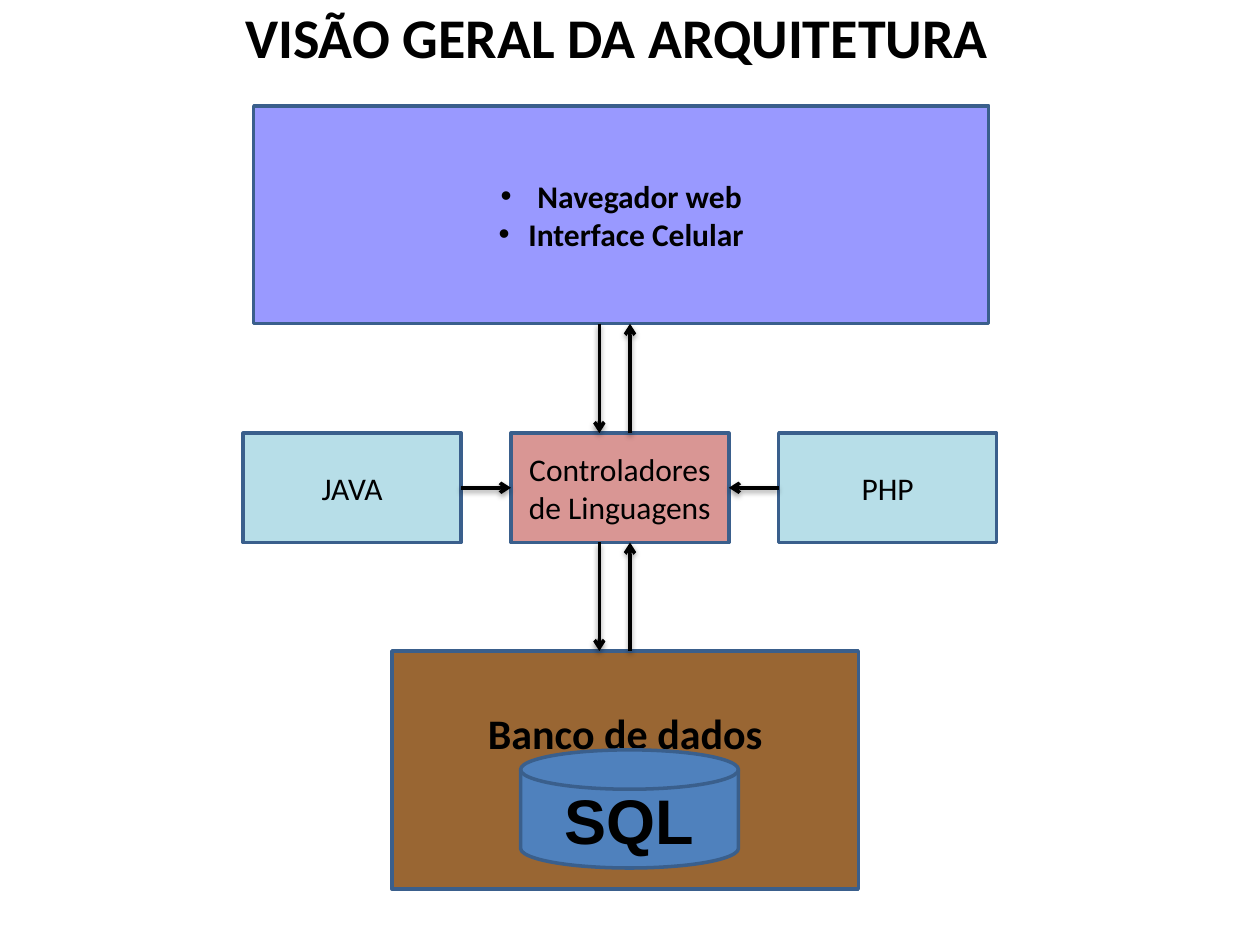
from dataclasses import dataclass

from lxml.etree import SubElement
from pptx import Presentation
from pptx.dml.color import RGBColor as Color
from pptx.enum.shapes import MSO_CONNECTOR as Connector, MSO_SHAPE as Preset
from pptx.enum.text import MSO_ANCHOR as Anchor, MSO_AUTO_SIZE as AutoSize, PP_ALIGN as Align
from pptx.oxml.ns import qn
from pptx.slide import Slide
from pptx.util import Pt


@dataclass(frozen=True)
class Theme:
    ink: str = "000000"
    outline: str = "3A5F8C"
    interface: str = "9999FF"
    language: str = "B7DEE8"
    controller: str = "D99694"
    database: str = "996633"
    disk: str = "4F81BD"
    body_font: str = "Calibri"
    disk_font: str = "Arial"
    body_size: float = 18
    database_size: float = 24
    title_size: float = 32
    disk_size: float = 36
    line_width: float = 2
    bullet_indent: float = 17


THEME = Theme()


@dataclass(frozen=True)
class Box:
    left: float
    top: float
    width: float
    height: float
    fill: str
    lines: tuple[str, ...]
    size: float = THEME.body_size
    font: str = THEME.body_font
    bold: bool = False
    bullets: bool = False
    preset: Preset = Preset.RECTANGLE
    anchor: Anchor = Anchor.MIDDLE
    spacing: float = 1

    @property
    def right(self) -> float:
        return self.left + self.width

    @property
    def bottom(self) -> float:
        return self.top + self.height

    @property
    def middle(self) -> float:
        return self.top + self.height / 2


@dataclass(frozen=True)
class Arrow:
    start_x: float
    start_y: float
    end_x: float
    end_y: float


def add_run(paragraph, text: str, size: float, font: str, bold: bool) -> None:
    run = paragraph.add_run()
    run.text = text
    run.font.size = Pt(size)
    run.font.name = font
    run.font.bold = bold
    run.font.color.rgb = Color.from_string(THEME.ink)


def add_bullet(paragraph) -> None:
    properties = paragraph._p.get_or_add_pPr()
    properties.set("marL", str(Pt(THEME.bullet_indent)))
    properties.set("indent", str(-Pt(THEME.bullet_indent)))
    SubElement(properties, qn("a:buFont"), typeface="Arial")
    SubElement(properties, qn("a:buChar"), char="•")


def draw_box(slide: Slide, box: Box) -> None:
    shape = slide.shapes.add_shape(
        box.preset, Pt(box.left), Pt(box.top), Pt(box.width), Pt(box.height)
    )
    shape.shadow.inherit = False
    shape.fill.solid()
    shape.fill.fore_color.rgb = Color.from_string(box.fill)
    shape.line.color.rgb = Color.from_string(THEME.outline)
    shape.line.width = Pt(THEME.line_width)
    frame = shape.text_frame
    frame.word_wrap = True
    frame.vertical_anchor = box.anchor
    for index, line in enumerate(box.lines):
        paragraph = frame.add_paragraph() if index else frame.paragraphs[0]
        paragraph.alignment = Align.CENTER
        paragraph.line_spacing = box.spacing
        if box.bullets:
            add_bullet(paragraph)
        add_run(paragraph, line, box.size, box.font, box.bold)


def draw_arrow(slide: Slide, arrow: Arrow) -> None:
    connector = slide.shapes.add_connector(
        Connector.STRAIGHT,
        Pt(arrow.start_x), Pt(arrow.start_y), Pt(arrow.end_x), Pt(arrow.end_y),
    )
    connector.line.color.rgb = Color.from_string(THEME.ink)
    connector.line.width = Pt(THEME.line_width)
    SubElement(connector.line._get_or_add_ln(), qn("a:tailEnd"), type="arrow")
    effects = SubElement(connector._element.spPr, qn("a:effectLst"))
    shadow = SubElement(
        effects, qn("a:outerShdw"), blurRad=str(Pt(3.1)), dist=str(Pt(1.6)),
        dir="5400000", rotWithShape="0",
    )
    shade = SubElement(shadow, qn("a:srgbClr"), val=THEME.ink)
    SubElement(shade, qn("a:alpha"), val="38000")


def draw_title(slide: Slide, text: str) -> None:
    title = slide.shapes.add_textbox(Pt(133), Pt(-2), Pt(443), Pt(46))
    frame = title.text_frame
    frame.word_wrap = False
    frame.auto_size = AutoSize.SHAPE_TO_FIT_TEXT
    add_run(frame.paragraphs[0], text, THEME.title_size, THEME.body_font, True)


def main() -> None:
    presentation = Presentation()
    presentation.slide_width = Pt(720)
    presentation.slide_height = Pt(540)
    slide = presentation.slides.add_slide(presentation.slide_layouts[6])

    interface = Box(145, 60.5, 420, 124.5, THEME.interface,
                    (" Navegador web", "Interface Celular"), bold=True, bullets=True)
    java, controller, php = (
        Box(139 + 153 * column, 247.5, 124.5, 62.5, fill, (label,))
        for column, (label, fill) in enumerate((
            ("JAVA", THEME.language),
            ("Controladores de Linguagens", THEME.controller),
            ("PHP", THEME.language),
        ))
    )
    database = Box(224, 372, 266.5, 136, THEME.database, ("Banco de dados",),
                   size=THEME.database_size, bold=True, anchor=Anchor.TOP, spacing=2)
    disk = Box(297.5, 428.5, 124.5, 67.5, THEME.disk, ("SQL",), size=THEME.disk_size,
               font=THEME.disk_font, bold=True, preset=Preset.FLOWCHART_MAGNETIC_DISK)
    for box in (interface, java, controller, php, database, disk):
        draw_box(slide, box)

    draw_arrow(slide, Arrow(java.right, java.middle, controller.left, java.middle))
    draw_arrow(slide, Arrow(php.left, php.middle, controller.right, php.middle))
    down_x, up_x = 342.5, 360
    for upper, lower in ((interface, controller), (controller, database)):
        draw_arrow(slide, Arrow(down_x, upper.bottom, down_x, lower.top))
        draw_arrow(slide, Arrow(up_x, lower.top, up_x, upper.bottom))

    draw_title(slide, "VISÃO GERAL DA ARQUITETURA")
    presentation.save("out.pptx")


if __name__ == "__main__":
    main()
